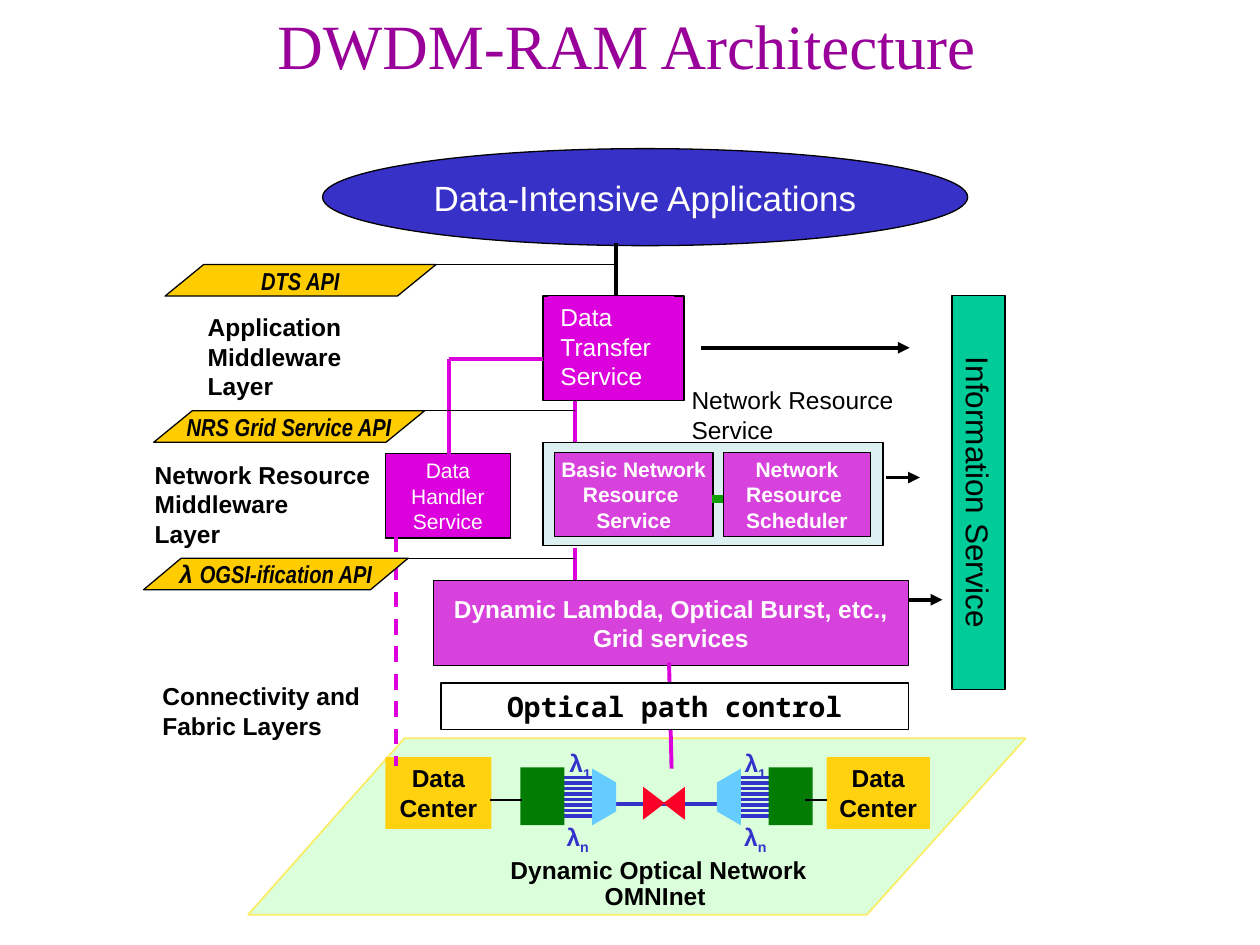
from lxml import etree
from pptx import Presentation
from pptx.dml.color import RGBColor
from pptx.enum.dml import MSO_LINE_DASH_STYLE as Dash
from pptx.enum.shapes import MSO_CONNECTOR as Conn, MSO_SHAPE as Geo
from pptx.enum.text import MSO_ANCHOR as Anchor, PP_ALIGN as Align
from pptx.oxml.ns import qn
from pptx.util import Inches, Pt

HUES = {
    "black": "000000", "white": "FFFFFF", "plum": "990099", "pink": "DC00DC",
    "orchid": "D842DC", "blue": "3831C7", "beam": "3333CC", "sky": "66CCFF",
    "green": "037C03", "link": "119E06", "red": "FC0128", "gold": "FFD10F",
    "amber": "FFCC00", "teal": "00CC99", "ice": "DDF0F1", "mint": "DBFFDB",
    "lemon": "FAEC64",
}

TITLE = "DWDM-RAM Architecture "
GROUND = [(3.21, 5.86), (8.14, 5.86), (6.88, 7.26), (1.97, 7.26)]
AXIS = 5.29
BEAMS = [6.17 + 0.044 * i for i in range(8)]
MUX = [(4.7, 6.1), (4.7, 6.55), (4.89, 6.44), (4.89, 6.21)]
LAMBDAS = [(4.43, 5.9, "1"), (4.41, 6.48, "n"), (5.82, 5.9, "1"), (5.82, 6.48, "n")]
SWITCH = [(5.06, 90), (5.22, 270)]

BOXES = [
    ((3.06, 6.01, 0.84, 0.57), "gold", None, ["Data", "Center"],
     dict(bold=True, wrap=False, mid=False)),
    ((6.56, 6.01, 0.82, 0.57), "gold", None, ["Data", "Center"],
     dict(bold=True, wrap=False, mid=False)),
    ((3.44, 4.61, 3.77, 0.67), "orchid", 0.75,
     ["Dynamic Lambda, Optical Burst, etc., Grid services"],
     dict(bold=True, hue="white")),
    ((4.31, 2.35, 1.12, 0.83), "pink", 1, [], {}),
    ((4.35, 2.35, 1, 0.8), "pink", None, ["Data", "Transfer Service"],
     dict(hue="white", align=Align.LEFT, mid=False)),
    ((4.31, 3.51, 2.7, 0.82), "ice", 0.75, [], {}),
    ((4.4, 3.59, 1.26, 0.67), "orchid", 0.75, ["Basic Network", "Resource ", "Service"],
     dict(size=12, bold=True, hue="white", wrap=False)),
    ((5.74, 3.59, 1.17, 0.67), "orchid", 0.75, ["Network", "Resource ", "Scheduler"],
     dict(size=12, bold=True, hue="white", wrap=False)),
    ((3.06, 3.6, 0.99, 0.67), "pink", 0.75, ["Data", "Handler", "Service"],
     dict(size=12, hue="white", wrap=False)),
]

LABELS = [
    ((3.81, 6.76, 2.78, 0.52), [" Dynamic Optical Network OMNInet"],
     dict(bold=True, align=Align.CENTER, lead=0.9)),
    ((5.39, 3.01, 1.86, 0.57), ["Network Resource", "Service"], {}),
    ((1.55, 2.43, 1.31, 0.8), ["Application", "Middleware", "Layer"], dict(bold=True)),
    ((1.13, 3.6, 2.34, 0.8), ["Network Resource", "Middleware", "Layer"], dict(bold=True)),
    ((1.19, 5.36, 1.82, 0.57), ["Connectivity and", "Fabric Layers"], dict(bold=True)),
]

ARROWS = [(7.21, 4.76, 7.48), (7.03, 3.79, 7.3), (5.56, 2.76, 7.22)]
WIRES = [
    (5.65, 3.96, 5.74, 3.96, "link", 4.5),
    (3.89, 6.35, 4.14, 6.35, "black", 0.75),
    (6.39, 6.35, 6.56, 6.35, "black", 0.75),
    (4.56, 3.18, 4.56, 3.51, "pink", 2.25),
    (3.56, 2.85, 3.56, 3.6, "pink", 2.25),
    (3.56, 2.85, 4.31, 2.85, "pink", 2.25),
    (5.31, 5.26, 5.33, 6.1, "pink", 2.25),
    (4.56, 4.35, 4.56, 4.6, "pink", 2.25),
    (4.89, 1.93, 4.89, 2.35, "black", 2.25),
]
NARROW = dict(face="Arial Narrow")
APIS = [
    (1.14, 4.43, 2.1, 1.195, [("λ ", {}), ("OGSI-ification API", NARROW)], 3.13, 4.56),
    (1.22, 3.26, 2.15, 1.224, [("NRS Grid Service API", NARROW)], 3.22, 4.56),
    (1.31, 2.1, 2.15, 1.224, [("DTS API", NARROW)], 3.39, 4.89),
]

deck = Presentation()
deck.slide_width, deck.slide_height = Inches(10), Inches(7.5)
slide = deck.slides.add_slide(deck.slide_layouts[5])
shapes = slide.shapes


def tint(name):
    return RGBColor.from_string(HUES[name])


def write(frame, paras, size=14, hue="black", bold=False, slant=False, face="Arial",
          align=Align.CENTER, wrap=True, mid=True, lead=None, pad=(0.1, 0.05)):
    frame.word_wrap = wrap
    frame.vertical_anchor = Anchor.MIDDLE if mid else Anchor.TOP
    frame.margin_left = frame.margin_right = Inches(pad[0])
    frame.margin_top = frame.margin_bottom = Inches(pad[1])
    for i, runs in enumerate(paras):
        para = frame.add_paragraph() if i else frame.paragraphs[0]
        para.alignment = align
        if lead:
            para.line_spacing = lead
        for text, extra in [(runs, {})] if isinstance(runs, str) else runs:
            run = para.add_run()
            run.text = text
            font = run.font
            font.name = extra.get("face", face)
            font.size, font.bold, font.italic = Pt(size), bold, slant
            font.color.rgb = tint(hue)
            if "base" in extra:
                font._element.set("baseline", extra["base"])


def paint(shape, fill, width=None, edge="black"):
    shape.shadow.inherit = False
    shape.fill.solid()
    shape.fill.fore_color.rgb = tint(fill)
    if width:
        shape.line.color.rgb = tint(edge)
        shape.line.width = Pt(width)
    else:
        shape.line.fill.background()
    return shape


def block(spot, fill, width=None, paras=(), geo=Geo.RECTANGLE, **style):
    shape = paint(shapes.add_shape(geo, *map(Inches, spot)), fill, width)
    if paras:
        write(shape.text_frame, paras, **style)
    return shape


def label(spot, paras, **style):
    write(shapes.add_textbox(*map(Inches, spot)).text_frame, paras, mid=False, **style)


def outline(points, *look):
    first, *rest = [tuple(map(Inches, p)) for p in points]
    pen = shapes.build_freeform(*first)
    pen.add_line_segments(rest, close=True)
    paint(pen.convert_to_shape(), *look)


def wire(x1, y1, x2, y2, hue, width):
    line = shapes.add_connector(Conn.STRAIGHT, *map(Inches, (x1, y1, x2, y2)))
    line.line.color.rgb = tint(hue)
    line.line.width = Pt(width)
    etree.SubElement(line._element.spPr, qn("a:effectLst"))
    return line


title = shapes.title
title.left, title.top, title.width, title.height = map(Inches, (0.47, 0, 9.13, 0.82))
write(title.text_frame, [TITLE], size=36, hue="plum", face="Times New Roman", mid=False)

outline(GROUND, "mint", 1, "lemon")
wire(4.81, 6.38, 5.72, 6.38, "beam", 2)
for x, turn in SWITCH:
    block((x, 6.29, 0.26, 0.17), "red", geo=Geo.ISOSCELES_TRIANGLE).rotation = turn

for flip in (False, True):
    def side(x):
        return 2 * AXIS - x if flip else x

    for y in BEAMS:
        wire(side(4.41), y, side(4.72), y, "beam", 2)
    outline([(side(x), y) for x, y in MUX], "sky")
    block((min(side(4.13), side(4.48)), 6.09, 0.35, 0.46), "green")
for x, y, sub in LAMBDAS:
    label((x, y, 0.35, 0.35), [[("λ", {}), (sub, dict(base="-25000"))]],
          hue="beam", bold=True, wrap=False, pad=(0, 0.04))

block((2.56, 1.18, 5.12, 0.77), "blue", 0.75, ["Data-Intensive Applications"],
      geo=Geo.OVAL, size=20, hue="white", wrap=False)
for spot, fill, width, paras, style in BOXES:
    block(spot, fill, width, paras, **style)
block((6.2, 3.7, 3.13, 0.42), "teal", 0.75, ["Information Service"],
      size=18, wrap=False).rotation = 90
for spot, paras, style in LABELS:
    label(spot, paras, **{"align": Align.LEFT, **style})

for ends in WIRES:
    wire(*ends)
wire(3.14, 4.26, 3.14, 6.08, "pink", 2.25).line.dash_style = Dash.DASH
for x, y, end in ARROWS:
    line = wire(x, y, end, y, "black", 2.25).line
    etree.SubElement(line._get_or_add_ln(), qn("a:tailEnd"), type="triangle")
for x, y, wide, skew, runs, start, end in APIS:
    tag = block((x, y, wide, 0.25), "amber", 0.75, [runs], geo=Geo.PARALLELOGRAM,
                bold=True, slant=True, wrap=False)
    tag.adjustments[0] = skew
    wire(start, y, end, y, "black", 0.75)
block((3.5, 5.42, 3.71, 0.37), "white", 0.75, ["Optical path control"],
      size=16, bold=True, face="Noto Sans Mono", mid=False)

deck.save("out.pptx")
